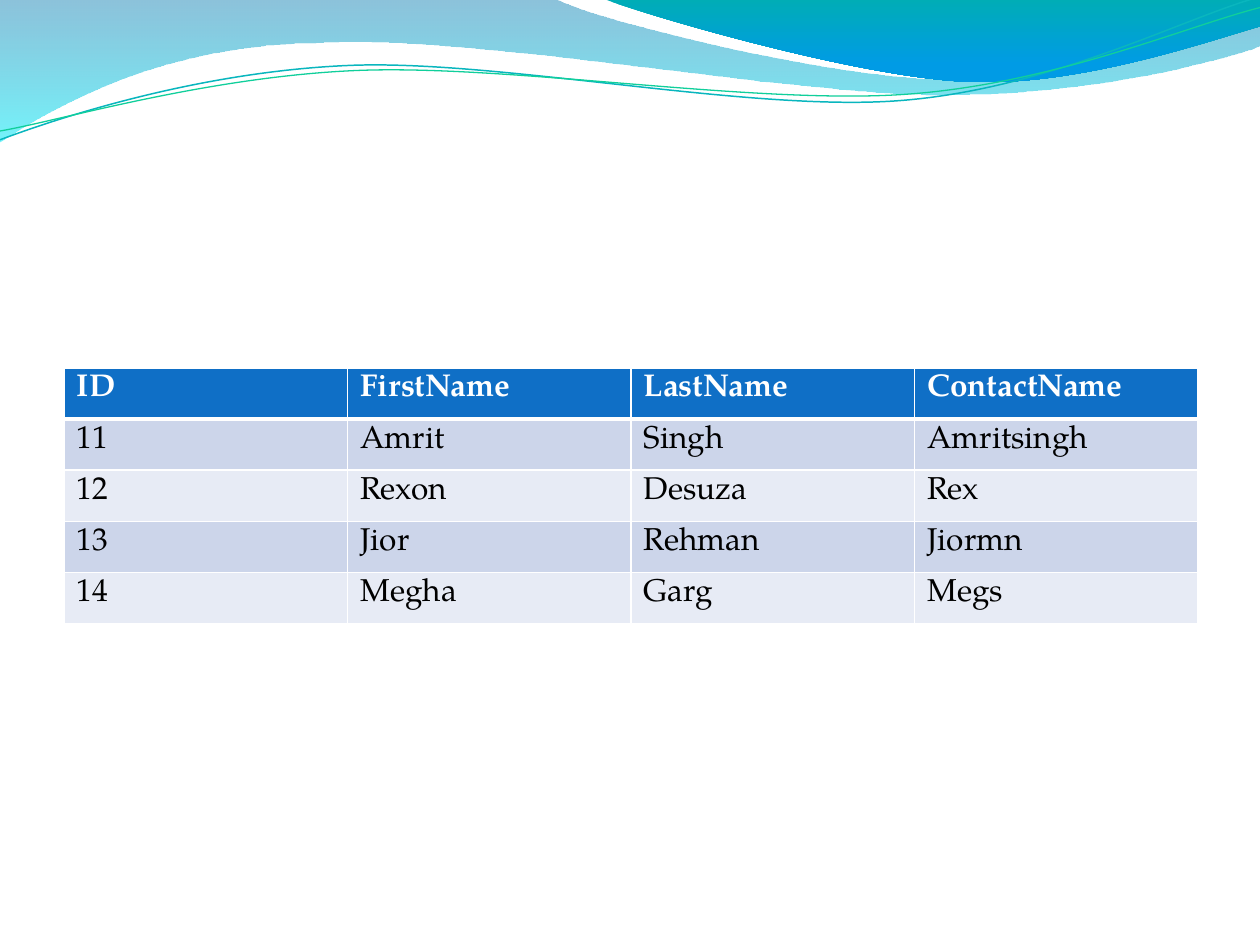
from lxml import etree
from pptx import Presentation
from pptx.dml.color import RGBColor
from pptx.oxml.ns import qn
from pptx.util import Inches, Pt

FONT = "TeX Gyre Pagella"
WHITE, BLACK = "FFFFFF", "000000"
HEADER_FILL = "0F6FC6"
BAND_FILLS = ("CCD5EA", "E7EBF5")

ROWS = [
    ("ID", "FirstName", "LastName", "ContactName"),
    ("11", "Amrit", "Singh", "Amritsingh"),
    ("12", "Rexon", "Desuza", "Rex"),
    ("13", "Jior", "Rehman", "Jiormn"),
    ("14", "Megha", "Garg", "Megs"),
]

# Outline steps: two numbers are a point to go straight to, six are a Bezier curve.
# Gradient stops: position in percent, colour, opacity in percent.
WAVES = [
    {
        "outline": [
            (0, -0.01), (4.4, -0.01),
            (4.76, 0.17, 6.64, 0.63, 7.58, 0.63),
            (8.53, 0.63, 9.58, 0.26, 10, 0.09),
            (10.01, 0.36),
            (9.83, 0.44, 8.7, 0.76, 7.46, 0.75),
            (6.22, 0.75, 3.82, 0.28, 2.57, 0.34),
            (1.29, 0.35, 0.46, 0.83, -0.01, 1.13),
            (0, -0.01),
        ],
        "stops": [(0, "0079AF", 45), (100, "00EBF8", 55)],
    },
    {
        "outline": [
            (4.79, -0.01),
            (5.09, 0.11, 6.82, 0.62, 7.69, 0.65),
            (8.56, 0.69, 9.61, 0.32, 10, 0.21),
            (10, 0), (4.79, -0.01),
        ],
        "stops": [(0, "00ADB6", 100), (80, "009BE5", 100), (100, "009BE5", 100)],
    },
]
RIBBONS = [
    {
        "outline": [
            (0, 1.11),
            (0.48, 0.93, 1.58, 0.57, 2.77, 0.52),
            (3.95, 0.47, 5.93, 0.89, 7.13, 0.8),
            (8.33, 0.71, 9.38, 0.15, 9.98, -0.02),
        ],
        "color": "09B6BE", "width": 0.85,
    },
    {
        "outline": [
            (0, 1.04),
            (0.47, 0.96, 1.64, 0.61, 2.83, 0.56),
            (4.03, 0.51, 5.97, 0.83, 7.17, 0.75),
            (8.36, 0.67, 9.41, 0.21, 10, 0.06),
        ],
        "color": "10CF9B", "width": 0.75,
    },
]


def rgb(color):
    return RGBColor.from_string(color)


def add_outline(slide, outline, close):
    """Build the freeform through the end points, then bend its curved steps."""
    start, *ends = [(Inches(step[-2]), Inches(step[-1])) for step in outline]
    builder = slide.shapes.build_freeform(*start)
    builder.add_line_segments(ends, close=close)
    shape = builder.convert_to_shape()
    shape.shadow.inherit = False
    segments = list(shape.element.spPr.iter(qn("a:lnTo")))
    for segment, step in zip(segments, outline[1:]):
        if len(step) == 2:
            continue
        curve = etree.Element(qn("a:cubicBezTo"))
        for x, y in zip(step[::2], step[1::2]):
            etree.SubElement(curve, qn("a:pt"), x=str(Inches(x) - shape.left),
                             y=str(Inches(y) - shape.top))
        segment.getparent().replace(segment, curve)
    return shape


def add_wave(slide, outline, stops):
    shape = add_outline(slide, outline, close=True)
    shape.line.fill.background()
    shape.fill.gradient()
    shape.fill.gradient_angle = 270
    stop_list = shape.element.spPr.find(qn("a:gradFill")).find(qn("a:gsLst"))
    for stop in list(stop_list):
        stop_list.remove(stop)
    for position, color, opacity in stops:
        stop = etree.SubElement(stop_list, qn("a:gs"), pos=str(position * 1000))
        fill = etree.SubElement(stop, qn("a:srgbClr"), val=color)
        etree.SubElement(fill, qn("a:alpha"), val=str(opacity * 1000))


def add_ribbon(slide, outline, color, width):
    shape = add_outline(slide, outline, close=False)
    shape.fill.background()
    shape.line.color.rgb = rgb(color)
    shape.line.width = Pt(width)


def set_borders(cell, **widths):
    properties = cell._tc.get_or_add_tcPr()
    for side in ("L", "R", "T", "B"):
        line = etree.SubElement(
            properties, qn(f"a:ln{side}"), w=str(Pt(widths.get(side, 1))))
        fill = etree.SubElement(line, qn("a:solidFill"))
        etree.SubElement(fill, qn("a:srgbClr"), val=WHITE)


def add_contacts_table(slide):
    table = slide.shapes.add_table(
        len(ROWS), len(ROWS[0]),
        Inches(0.51), Inches(2.92), Inches(9), Inches(2.03)).table
    table.horz_banding = False
    for r, row in enumerate(ROWS):
        is_header = r == 0
        widths = {0: {"B": 3}, 1: {"T": 3}}.get(r, {})
        for c, value in enumerate(row):
            cell = table.cell(r, c)
            set_borders(cell, **widths)
            cell.fill.solid()
            cell.fill.fore_color.rgb = rgb(
                HEADER_FILL if is_header else BAND_FILLS[(r - 1) % 2])
            run = cell.text_frame.paragraphs[0].add_run()
            run.text = value
            run.font.name = FONT
            run.font.size = Pt(18)
            run.font.bold = is_header
            run.font.color.rgb = rgb(WHITE if is_header else BLACK)


def main():
    presentation = Presentation()
    presentation.slide_width = Inches(10)
    presentation.slide_height = Inches(7.5)
    slide = presentation.slides.add_slide(presentation.slide_layouts[6])
    for wave in WAVES:
        add_wave(slide, **wave)
    for ribbon in RIBBONS:
        add_ribbon(slide, **ribbon)
    add_contacts_table(slide)
    presentation.save("out.pptx")


if __name__ == "__main__":
    main()
